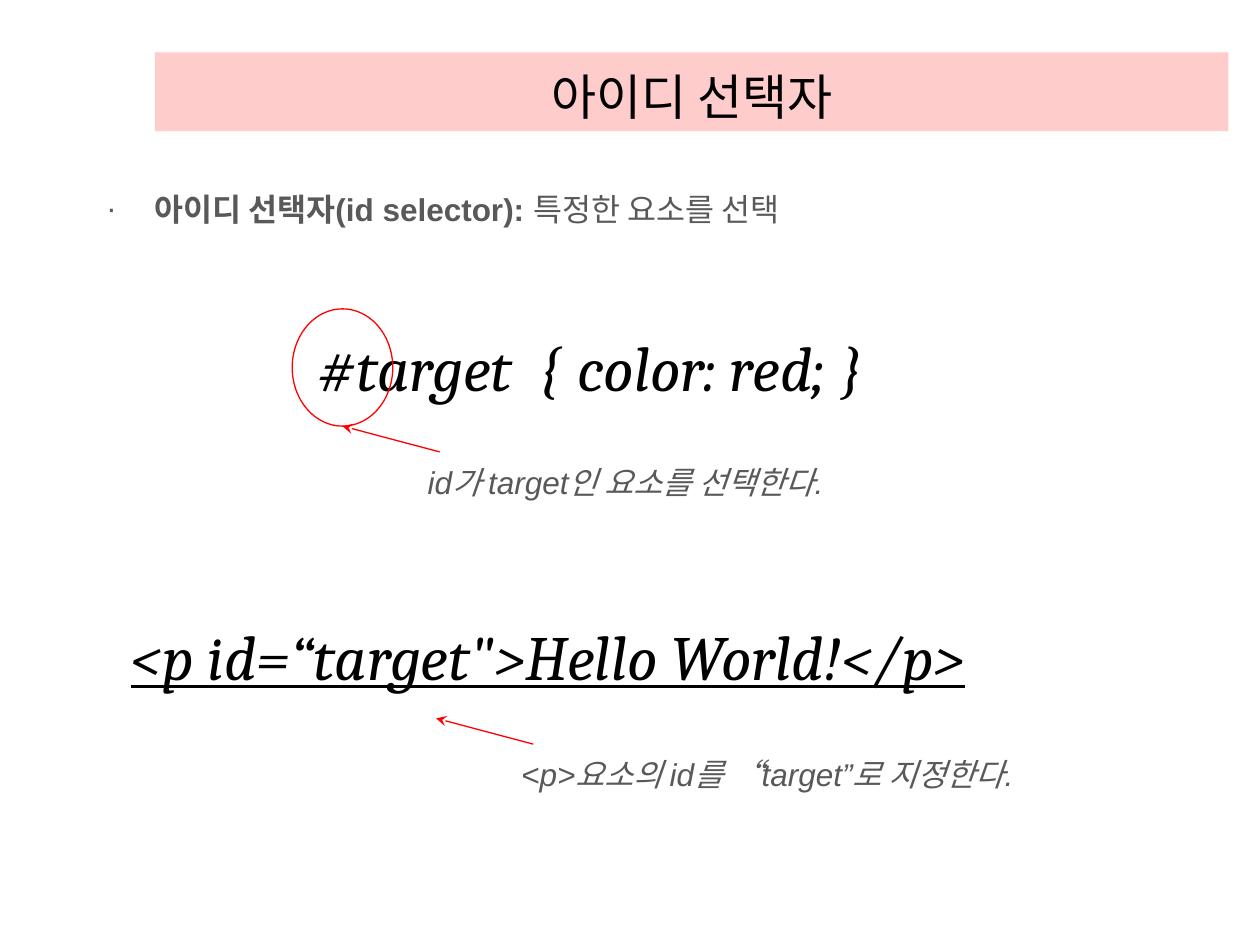
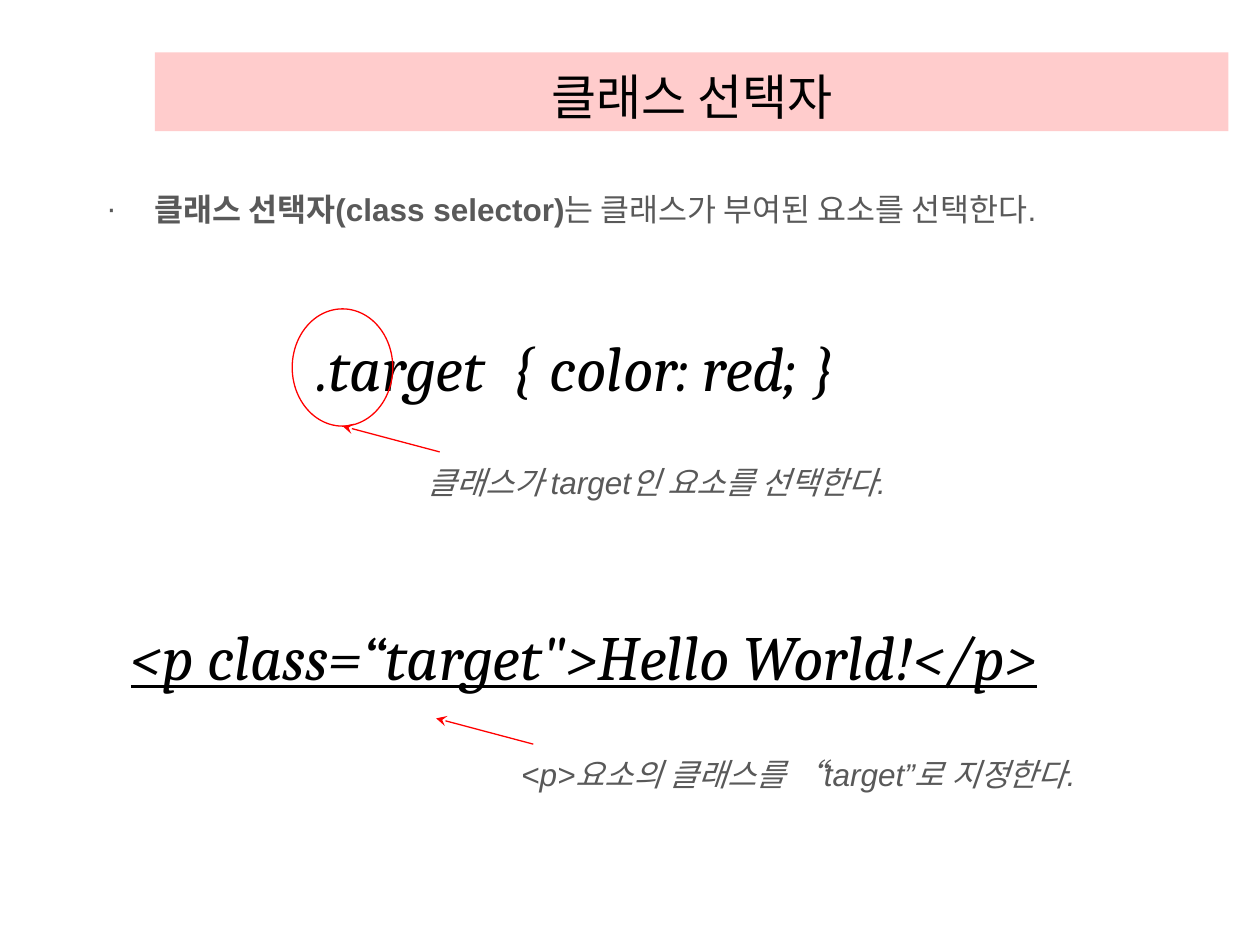
from typing import NamedTuple

from lxml.etree import SubElement
from pptx import Presentation
from pptx.dml.color import RGBColor
from pptx.enum.shapes import MSO_CONNECTOR as Link, MSO_SHAPE as Shape
from pptx.enum.text import MSO_ANCHOR as Anchor, MSO_AUTO_SIZE as Fit, PP_ALIGN as Align
from pptx.oxml.ns import qn
from pptx.util import Pt

BLACK, GRAY, RED, PINK = "000000", "595959", "FF0000", "FFCCCC"
HEAD, BODY = "Cambria", "Arial"


class Box(NamedTuple):
    left: float
    top: float
    width: float
    height: float

    def pts(self) -> list:
        return [Pt(side) for side in self]


class Note(NamedTuple):
    """A remark with an arrow whose tip is at (x, y)."""
    text: str
    x: float
    y: float
    width: float


class Topic(NamedTuple):
    title: str
    term: str
    gloss: str
    rule: str
    rule_wide: float
    tag: str
    notes: list


TITLE = Box(88.5, 30, 613.5, 45)
LIST = Box(54, 105, 646.5, 327)
RING = Box(167, 176.5, 57.5, 67)
RULE_AT, TAG_AT = (174.25, 184.25), (67.75, 349.25)
RULE_TIP, TAG_TIP = (195.75, 243.5), (249.25, 410.5)

TOPICS = [
    Topic("아이디 선택자", "아이디 선택자(id selector): ", "특정한 요소를 선택",
          "#target  { color: red; }", 365, '<p id=“target">Hello World!</p>',
          [Note("id가 target인 요소를 선택한다.", *RULE_TIP, 259),
           Note("<p>요소의 id를 “target”로 지정한다.", *TAG_TIP, 305.25)]),
    Topic("클래스 선택자", "클래스 선택자(class selector)", "는 클래스가 부여된 요소를 선택한다.",
          ".target  { color: red; }", 353, '<p class=“target">Hello World!</p>',
          [Note("클래스가 target인 요소를 선택한다.", *RULE_TIP, 299.5),
           Note("<p>요소의 클래스를 “target”로 지정한다.", *TAG_TIP, 345.5)]),
]


def rgb(code: str) -> RGBColor:
    return RGBColor.from_string(code)


def write(par, text: str, font=BODY, size=18, color=GRAY,
          bold=False, italic=False, line=False) -> None:
    run = par.add_run()
    run.text = text
    face = run.font
    face.name, face.size, face.color.rgb = font, Pt(size), rgb(color)
    face.bold, face.italic, face.underline = bold, italic, line


def place(shape, box: Box) -> None:
    shape.left, shape.top, shape.width, shape.height = box.pts()


def label(slide, box: Box, text: str, **style) -> None:
    frame = slide.shapes.add_textbox(*box.pts()).text_frame
    frame.word_wrap = True
    frame.auto_size = Fit.SHAPE_TO_FIT_TEXT
    write(frame.paragraphs[0], text, italic=True, **style)


def code(slide, spot: tuple, width: float, text: str, **style) -> None:
    label(slide, Box(*spot, width, 51), text, font=HEAD, size=36, color=BLACK, **style)


def bullet(par) -> None:
    props = par._p.get_or_add_pPr()
    props.set("marL", str(Pt(27)))
    props.set("indent", str(-Pt(27)))
    tint = SubElement(SubElement(props, qn("a:buClr")), qn("a:srgbClr"))
    tint.set("val", GRAY)
    SubElement(props, qn("a:buChar")).set("char", "∙")
    par.space_before = Pt(0)


def arrow(slide, x: float, y: float) -> None:
    """Draw the arrow that ends at (x, y)."""
    ends = [Pt(v) for v in (x + 55.5, y + 14.75, x, y)]
    link = slide.shapes.add_connector(Link.STRAIGHT, *ends)
    link.line.color.rgb = rgb(RED)
    link.line.width = Pt(0.75)
    SubElement(link.line._get_or_add_ln(), qn("a:tailEnd")).set("type", "stealth")
    SubElement(link._element.spPr, qn("a:effectLst"))


def ring(slide) -> None:
    oval = slide.shapes.add_shape(Shape.OVAL, *RING.pts())
    oval.shadow.inherit = False
    oval.fill.background()
    oval.line.color.rgb = rgb(RED)
    oval.line.width = Pt(0.75)


def head(slide, topic: Topic) -> None:
    """Fill the title band and the list."""
    title, body = slide.placeholders
    place(title, TITLE)
    title.fill.solid()
    title.fill.fore_color.rgb = rgb(PINK)
    frame = title.text_frame
    frame.vertical_anchor, frame.auto_size = Anchor.BOTTOM, Fit.NONE
    par = frame.paragraphs[0]
    par.alignment = Align.CENTER
    write(par, topic.title, font=HEAD, size=28, color=BLACK)

    place(body, LIST)
    body.text_frame.auto_size = Fit.NONE
    par = body.text_frame.paragraphs[0]
    bullet(par)
    write(par, topic.term, bold=True)
    write(par, topic.gloss)


def build(deck, topic: Topic) -> None:
    slide = deck.slides.add_slide(deck.slide_layouts[1])
    head(slide, topic)
    code(slide, RULE_AT, topic.rule_wide, topic.rule)
    ring(slide)
    code(slide, TAG_AT, 641.5, topic.tag, line=True)
    for note in topic.notes:
        label(slide, Box(note.x + 41.5, note.y + 17.25, note.width, 29), note.text)
        arrow(slide, note.x, note.y)


def main() -> None:
    deck = Presentation()
    deck.slide_width, deck.slide_height = Pt(720), Pt(540)
    for topic in TOPICS:
        build(deck, topic)
    deck.save("out.pptx")


if __name__ == "__main__":
    main()
